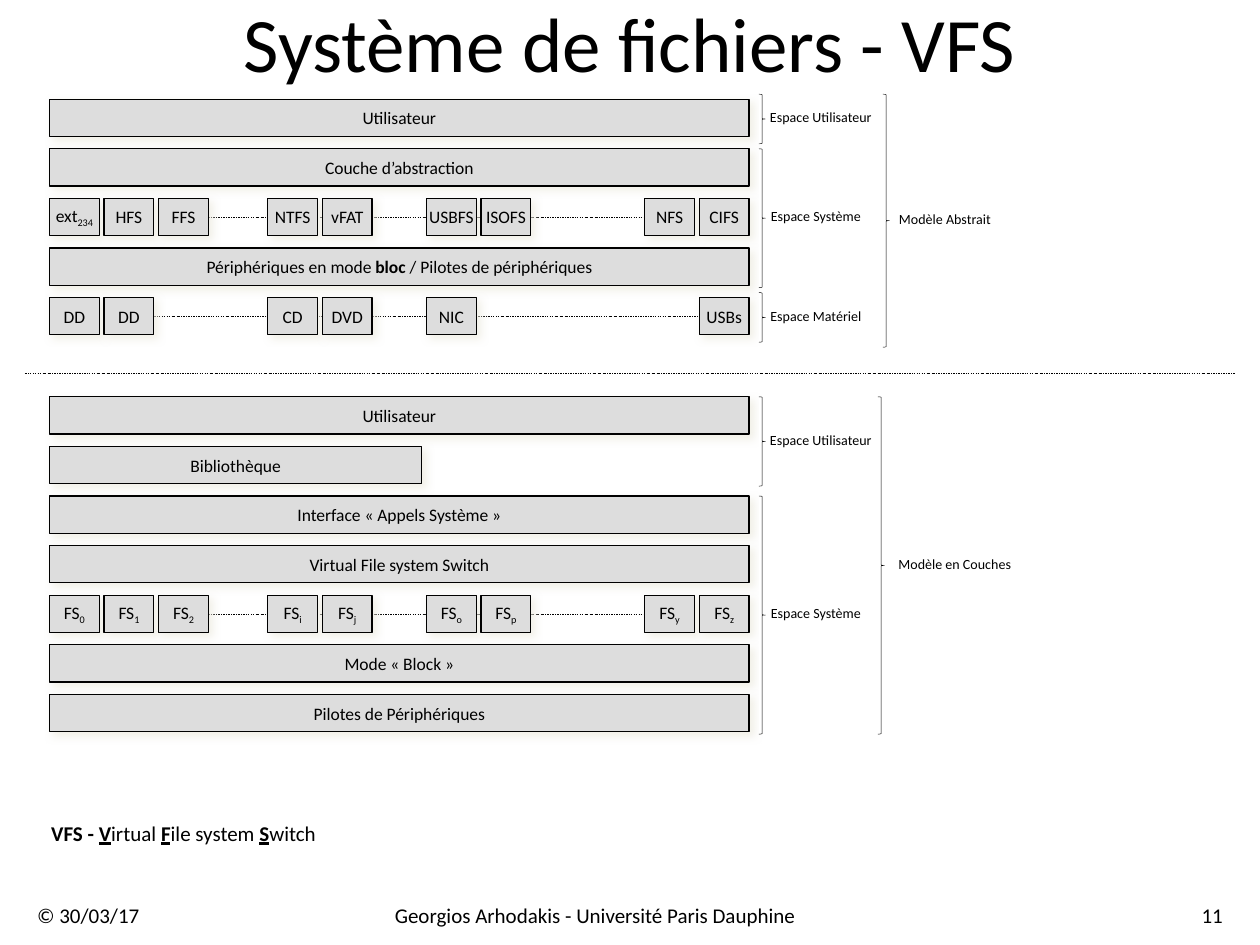
import pptx
import pptx.dml.color
import pptx.enum.dml
import pptx.enum.shapes
import pptx.enum.text
import pptx.oxml.ns
import pptx.util
from lxml import etree

Cm = pptx.util.Cm
Pt = pptx.util.Pt
RGBColor = pptx.dml.color.RGBColor
ALIGN = pptx.enum.text.PP_ALIGN
SHAPE = pptx.enum.shapes.MSO_SHAPE
qn = pptx.oxml.ns.qn

BLACK = RGBColor(0x00, 0x00, 0x00)
WHITE = RGBColor(0xFF, 0xFF, 0xFF)
LAYER_GREY = RGBColor(0xDD, 0xDD, 0xDD)
SHADOW_CREAM = RGBColor(0xEE, 0xEC, 0xE1)

FONT = "Calibri"
LEFT, FULL_WIDTH = 1, 14.1
BOX_HEIGHT, CELL_WIDTH = 0.75, 1
CELL_LEFTS = [1, 2.1, 3.2, 5.4, 6.5, 8.6, 9.7, 13, 14.1]
LABEL_HEIGHT = 0.33


def write(text_frame, pieces, size, align=ALIGN.CENTER, wrap=False, inset=0.0):
    """Fill a frame with (text, style) pieces; b is bold, u underlined, s subscript."""
    text_frame.word_wrap = wrap
    text_frame.vertical_anchor = pptx.enum.text.MSO_ANCHOR.MIDDLE
    text_frame.margin_left = text_frame.margin_right = Cm(inset)
    text_frame.margin_top = text_frame.margin_bottom = 0
    paragraph = text_frame.paragraphs[0]
    paragraph.alignment = align
    if isinstance(pieces, str):
        pieces = [(pieces, "")]
    for text, style in pieces:
        run = paragraph.add_run()
        run.text = text
        run.font.name = FONT
        run.font.size = Pt(size)
        run.font.color.rgb = BLACK
        run.font.bold = "b" in style
        run.font.underline = "u" in style
        if "s" in style:
            run.font._element.set("baseline", "-25000")


def add_text(slide, left, top, width, height, pieces, size, **options):
    """Add a free-standing text."""
    box = slide.shapes.add_textbox(Cm(left), Cm(top), Cm(width), Cm(height))
    write(box.text_frame, pieces, size, **options)


def add_outlined(slide, kind, left, top, width, height, fill, line_width):
    """Add a filled shape with a black outline and no shadow."""
    shape = slide.shapes.add_shape(kind, Cm(left), Cm(top), Cm(width), Cm(height))
    shape.shadow.inherit = False
    shape.fill.solid()
    shape.fill.fore_color.rgb = fill
    shape.line.color.rgb = BLACK
    shape.line.width = Pt(line_width)
    return shape


def add_layer(slide, top, pieces, left=LEFT, width=FULL_WIDTH):
    """Add one grey box with its soft shadow."""
    layer = add_outlined(slide, SHAPE.FLOWCHART_PROCESS, left, top, width,
                         BOX_HEIGHT, LAYER_GREY, 0.75)
    effects = layer._element.spPr.find(qn("a:effectLst"))
    shadow = etree.SubElement(effects, qn("a:outerShdw"), blurRad=str(Pt(5)),
                              dist=str(Pt(3)), dir="2700000", rotWithShape="0")
    color = etree.SubElement(shadow, qn("a:srgbClr"), val=str(SHADOW_CREAM))
    etree.SubElement(color, qn("a:alpha"), val="75000")
    write(layer.text_frame, pieces, 10)


def add_dotted_line(slide, start, end, y):
    """Add a thin horizontal dash-dot line."""
    line = slide.shapes.add_connector(pptx.enum.shapes.MSO_CONNECTOR.STRAIGHT,
                                      Cm(start), Cm(y), Cm(end), Cm(y))
    line.line.color.rgb = BLACK
    line.line.width = Pt(0.25)
    line.line.dash_style = pptx.enum.dml.MSO_LINE.DASH_DOT
    etree.SubElement(line._element.spPr, qn("a:effectLst"))


def add_cell_row(slide, top, cells, line_from, line_to):
    """Add a row of small boxes by column, joined by a line between two columns."""
    add_dotted_line(slide, CELL_LEFTS[line_from] + CELL_WIDTH,
                    CELL_LEFTS[line_to], top + BOX_HEIGHT / 2)
    for left, pieces in zip(CELL_LEFTS, cells):
        if pieces:
            add_layer(slide, top, pieces, left, CELL_WIDTH)


def add_brace(slide, left, top, height, label, label_left, label_width):
    """Add a brace and the label at its middle."""
    add_outlined(slide, SHAPE.RIGHT_BRACE, left, top, 0.13, height, WHITE, 0.25)
    label_top = top + height / 2 - LABEL_HEIGHT / 2 - 0.04
    add_text(slide, label_left, label_top, label_width, LABEL_HEIGHT, label, 8)


def add_abstract_model(slide):
    """Add the upper diagram."""
    add_layer(slide, 2, "Utilisateur")
    add_layer(slide, 3, "Couche d’abstraction")
    add_cell_row(slide, 4, [[("ext", ""), ("234", "s")], "HFS", "FFS", "NTFS", "vFAT",
                            "USBFS", "ISOFS", "NFS", "CIFS"], 2, 7)
    add_layer(slide, 5, [("Périphériques en mode ", ""), ("bloc", "b"),
                         (" / Pilotes de périphériques", "")])
    add_cell_row(slide, 6, ["DD", "DD", None, "CD", "DVD", "NIC", None, None, "USBs"], 1, 8)
    add_brace(slide, 15.3, 1.9, 1, "Espace Utilisateur", 15.5, 2.1)
    add_brace(slide, 15.3, 3, 2.8, "Espace Système", 15.5, 1.9)
    add_brace(slide, 15.3, 5.9, 1, "Espace Matériel", 15.5, 1.9)
    add_brace(slide, 17.8, 1.9, 5.1, "Modèle Abstrait", 18.1, 1.9)


def add_layered_model(slide):
    """Add the lower diagram."""
    add_layer(slide, 8, "Utilisateur")
    add_layer(slide, 9, "Bibliothèque", width=7.5)
    add_layer(slide, 10, "Interface « Appels Système »")
    add_layer(slide, 11, "Virtual File system Switch")
    add_cell_row(slide, 12, [[("FS", ""), (index, "s")] for index in "012ijopyz"], 2, 7)
    add_layer(slide, 13, "Mode « Block »")
    add_layer(slide, 14, "Pilotes de Périphériques")
    add_brace(slide, 15.3, 8, 1.8, "Espace Utilisateur", 15.5, 2.1)
    add_brace(slide, 15.3, 10, 4.8, "Espace Système", 15.5, 1.9)
    add_brace(slide, 17.7, 8, 6.8, "Modèle en Couches", 18.1, 2.3)


def add_footer(slide):
    """Add the date, the author and the page number."""
    for left, width, text, align in [
        (0.5, 3, "© 30/03/17", ALIGN.LEFT),
        (3.5, 17, "Georgios Arhodakis - Université Paris Dauphine", ALIGN.CENTER),
        (23.9, 1, "11", ALIGN.RIGHT),
    ]:
        add_text(slide, left, 18.2, width, 0.5, text, 12, align=align, wrap=True, inset=0.25)


def main():
    """Build the slide and save it."""
    deck = pptx.Presentation()
    deck.slide_width, deck.slide_height = Cm(25.4), Cm(19.05)
    slide = deck.slides.add_slide(deck.slide_layouts[6])
    add_text(slide, 0, 0, 25.4, 1.7, "Système de fichiers - VFS", 44)
    add_abstract_model(slide)
    add_dotted_line(slide, 0.5, 24.9, 7.52)
    add_layered_model(slide)
    add_text(slide, 1, 16.54, 5.4, 0.5,
             [("VFS - ", "b"), ("V", "bu"), ("irtual ", ""), ("F", "bu"),
              ("ile system ", ""), ("S", "bu"), ("witch", "")], 12)
    add_footer(slide)
    deck.save("out.pptx")


if __name__ == "__main__":
    main()
